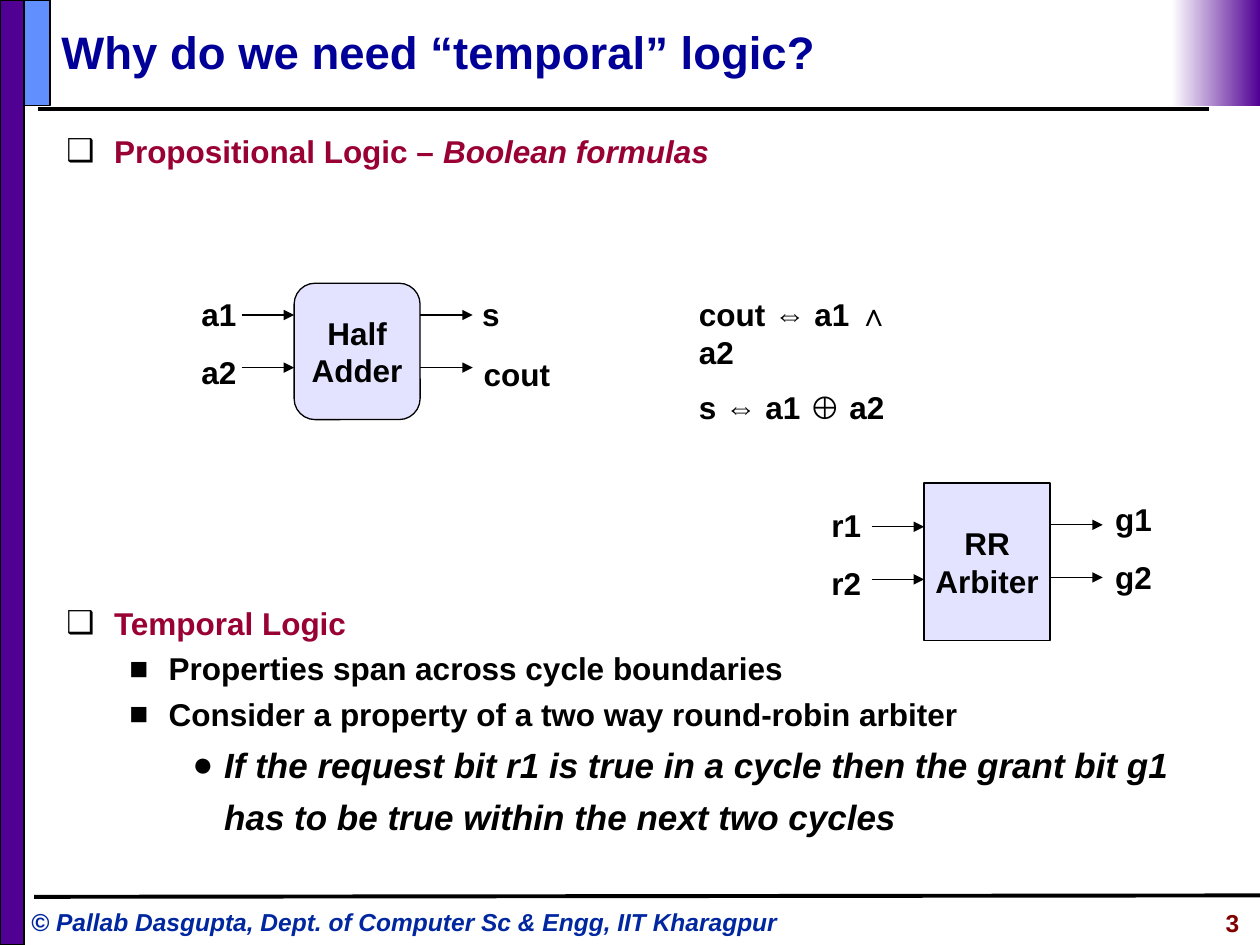
from dataclasses import dataclass
from typing import Optional

from lxml.etree import SubElement
from pptx import Presentation
from pptx.dml.color import RGBColor
from pptx.enum.shapes import MSO_CONNECTOR, MSO_SHAPE
from pptx.enum.text import MSO_ANCHOR, PP_ALIGN
from pptx.oxml.ns import qn
from pptx.util import Cm, Pt

FONT = "Arial"
BLACK, PURPLE, PALE, WHITE = "000000", "500093", "E3E3FF", "FFFFFF"
MAROON, NAVY = "990033", "000099"


@dataclass
class Level:
    bullet: str
    margin: float
    hanging: float
    line_spacing: float
    space_before: float
    size: int
    color: str
    italic: bool = False


@dataclass
class Label:
    text: str
    left: float
    top: float
    width: float


@dataclass
class Block:
    name: str
    kind: MSO_SHAPE
    left: float
    top: float
    height: float
    input_rows: tuple[float, ...]
    output_rows: tuple[float, ...]
    labels: list[Label]


TOPIC = Level("❑", 0.96, 0.96, 1.25, 6.8, 18, MAROON)
POINT = Level("■", 2.06, 0.79, 1.1, 2.2, 18, BLACK)
DETAIL = Level("●", 3.18, 0.64, 1.25, 0, 20, BLACK, True)

BLOCK_WIDTH, ARROW_LENGTH = 2.54, 1.06
BLOCKS = [
    Block("Half\nAdder", MSO_SHAPE.ROUNDED_RECTANGLE, 5.93, 5.71, 2.75,
          (6.35, 7.41), (6.35, 7.41),
          [Label("a1", 3.81, 5.82, 1.3), Label("a2", 3.81, 6.99, 1.3),
           Label("s", 9.47, 5.82, 0.9), Label("cout", 9.5, 7.04, 2)]),
    Block("RR\nArbiter", MSO_SHAPE.RECTANGLE, 18.63, 9.74, 3.18,
          (10.62, 11.68), (10.58, 11.64),
          [Label("r1", 16.51, 10.08, 1.3), Label("r2", 16.51, 11.25, 1.3),
           Label("g1", 22.23, 9.96, 1.5), Label("g2", 22.23, 11.13, 1.5)]),
]


def rgb(value: str) -> RGBColor:
    return RGBColor.from_string(value)


def set_font(paragraph, size: int, color: str, italic: bool = False) -> None:
    font = paragraph.font
    font.name, font.size, font.bold, font.italic = FONT, Pt(size), True, italic
    font.color.rgb = rgb(color)


def add_text(slide, text: str, left: float, top: float, width: float, height: float,
             size: int = 18, color: str = BLACK, italic: bool = False,
             align: PP_ALIGN = PP_ALIGN.LEFT, wrap: bool = True):
    frame = slide.shapes.add_textbox(Cm(left), Cm(top), Cm(width), Cm(height)).text_frame
    frame.word_wrap = wrap
    frame.text = text
    for paragraph in frame.paragraphs:
        paragraph.alignment = align
        set_font(paragraph, size, color, italic)
    return frame


def add_box(slide, kind: MSO_SHAPE, left: float, top: float, width: float,
            height: float, fill: str, line_width: float):
    shape = slide.shapes.add_shape(kind, Cm(left), Cm(top), Cm(width), Cm(height))
    shape.shadow.inherit = False
    shape.fill.solid()
    shape.fill.fore_color.rgb = rgb(fill)
    shape.line.color.rgb = rgb(BLACK)
    shape.line.width = Pt(line_width)
    return shape


def add_line(slide, left: float, top: float, right: float, bottom: float,
             width: float, arrow: bool = False) -> None:
    connector = slide.shapes.add_connector(
        MSO_CONNECTOR.STRAIGHT, Cm(left), Cm(top), Cm(right), Cm(bottom))
    connector.line.color.rgb = rgb(BLACK)
    connector.line.width = Pt(width)
    if arrow:
        SubElement(connector.line._get_or_add_ln(), qn("a:tailEnd"), type="triangle")
    SubElement(connector._element.spPr, qn("a:effectLst"))


def add_outline(slide, top: float, height: float,
                items: list[tuple[Level, str, Optional[str]]]) -> None:
    """Bulleted paragraphs: level, text and an optional italic ending."""
    frame = slide.shapes.add_textbox(Cm(1.09), Cm(top), Cm(23.27), Cm(height)).text_frame
    frame.word_wrap = True
    for index, (level, text, ending) in enumerate(items):
        paragraph = frame.add_paragraph() if index else frame.paragraphs[0]
        properties = paragraph._p.get_or_add_pPr()
        properties.set("marL", str(Cm(level.margin)))
        properties.set("indent", str(-Cm(level.hanging)))
        bullet_color = SubElement(properties, qn("a:buClr"))
        SubElement(bullet_color, qn("a:srgbClr"), val=BLACK)
        SubElement(properties, qn("a:buFont"), typeface=FONT)
        SubElement(properties, qn("a:buChar"), char=level.bullet)
        paragraph.line_spacing = level.line_spacing
        if index:
            paragraph.space_before = Pt(level.space_before)
        set_font(paragraph, level.size, level.color, level.italic)
        paragraph.add_run().text = text
        if ending:
            run = paragraph.add_run()
            run.text = ending
            run.font.italic = True


def add_block(slide, block: Block) -> None:
    shape = add_box(slide, block.kind, block.left, block.top, BLOCK_WIDTH,
                    block.height, PALE, 0.75)
    frame = shape.text_frame
    frame.word_wrap = False
    frame.vertical_anchor = MSO_ANCHOR.MIDDLE
    frame.text = block.name
    for paragraph in frame.paragraphs:
        paragraph.alignment = PP_ALIGN.CENTER
        set_font(paragraph, 18, BLACK)
    right = block.left + BLOCK_WIDTH
    for start, rows in ((block.left - ARROW_LENGTH, block.input_rows),
                        (right, block.output_rows)):
        for row in rows:
            add_line(slide, start, row, start + ARROW_LENGTH, row, 0.75, arrow=True)
    for label in block.labels:
        add_text(slide, label.text, label.left, label.top, label.width, 1.02)


def main() -> None:
    presentation = Presentation()
    presentation.slide_width, presentation.slide_height = Cm(25.4), Cm(19.05)
    slide = presentation.slides.add_slide(presentation.slide_layouts[6])

    # Frame: rules, side bars and the fading corner
    add_line(slide, 0.76, 2.2, 24.38, 2.2, 2.25)
    add_box(slide, MSO_SHAPE.RECTANGLE, 0, 0, 0.48, 19.05, PURPLE, 1)
    add_line(slide, 0.69, 18.08, 25.4, 18.05, 2.25)
    add_box(slide, MSO_SHAPE.RECTANGLE, 0.48, 0, 0.53, 2.13, "618FFD", 1)
    corner = add_box(slide, MSO_SHAPE.RECTANGLE, 23.62, 0, 1.78, 2.13, PURPLE, 1)
    corner.line.fill.background()
    corner.fill.gradient()
    corner.fill.gradient_angle = 0
    for stop, color in zip(corner.fill.gradient_stops, (WHITE, PURPLE)):
        stop.color.rgb = rgb(color)

    # Title and footer
    title = add_text(slide, "Why do we need “temporal” logic?", 0.99, 0.25, 23.11, 1.55,
                     26, NAVY)
    title.vertical_anchor = MSO_ANCHOR.MIDDLE
    add_text(slide, "© Pallab Dasgupta, Dept. of Computer Sc & Engg, IIT Kharagpur",
             0.38, 18.16, 16.18, 0.86, 14, "00279F", italic=True, wrap=False)
    add_text(slide, "3", 20.78, 18.19, 4.45, 0.86, 14, "800000", align=PP_ALIGN.RIGHT)

    # Outline
    add_outline(slide, 2.35, 1.2, [(TOPIC, "Propositional Logic – ", "Boolean formulas")])
    add_outline(slide, 11.86, 5.6, [
        (TOPIC, "Temporal Logic", None),
        (POINT, "Properties span across cycle boundaries", None),
        (POINT, "Consider a property of a two way round-robin arbiter", None),
        (DETAIL, "If the request bit r1 is true in a cycle then the grant bit g1 "
                 "has to be true within the next two cycles", None),
    ])

    # Circuit blocks and the adder's formulas
    for block in BLOCKS:
        add_block(slide, block)
    formulas = add_text(slide, "cout ⇔ a1 ∧ a2\ns ⇔ a1 ⊕ a2", 13.84, 5.82, 4.75, 2.16)
    formulas.paragraphs[1].space_before = Pt(10)

    presentation.save("out.pptx")


if __name__ == "__main__":
    main()
